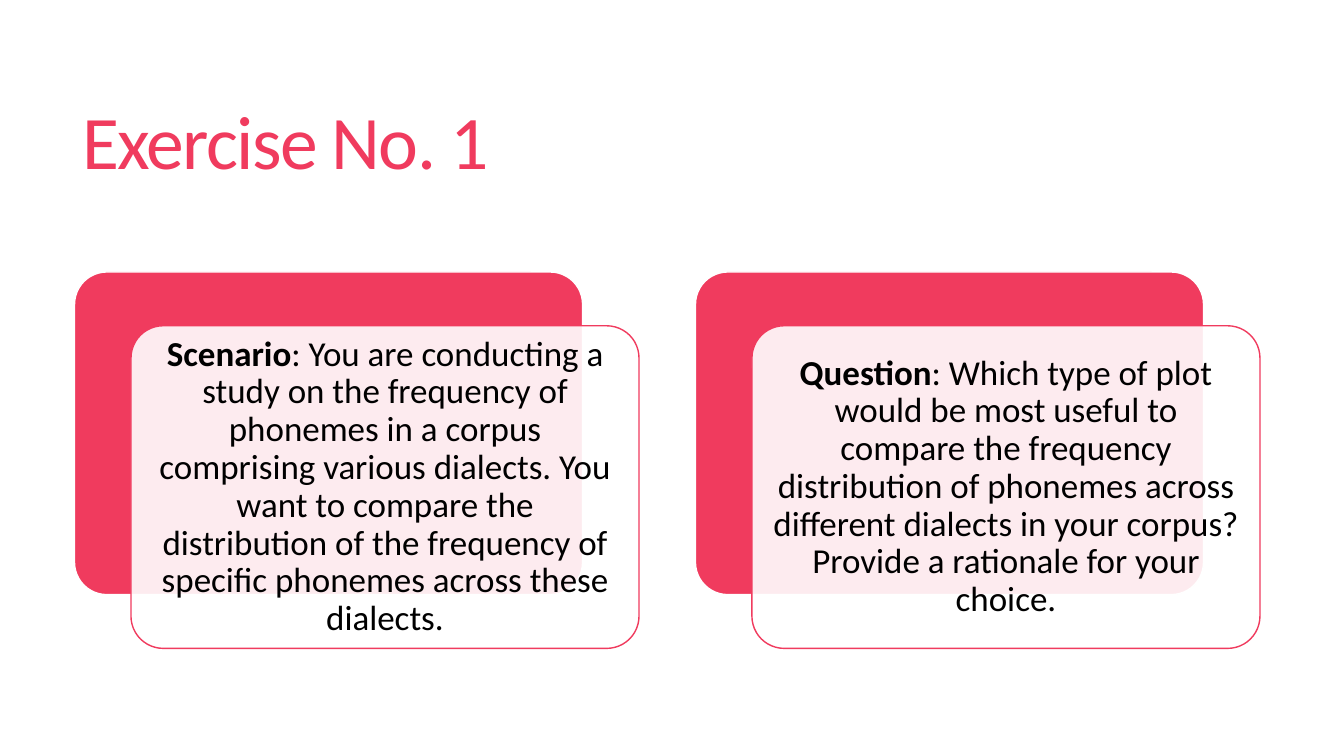
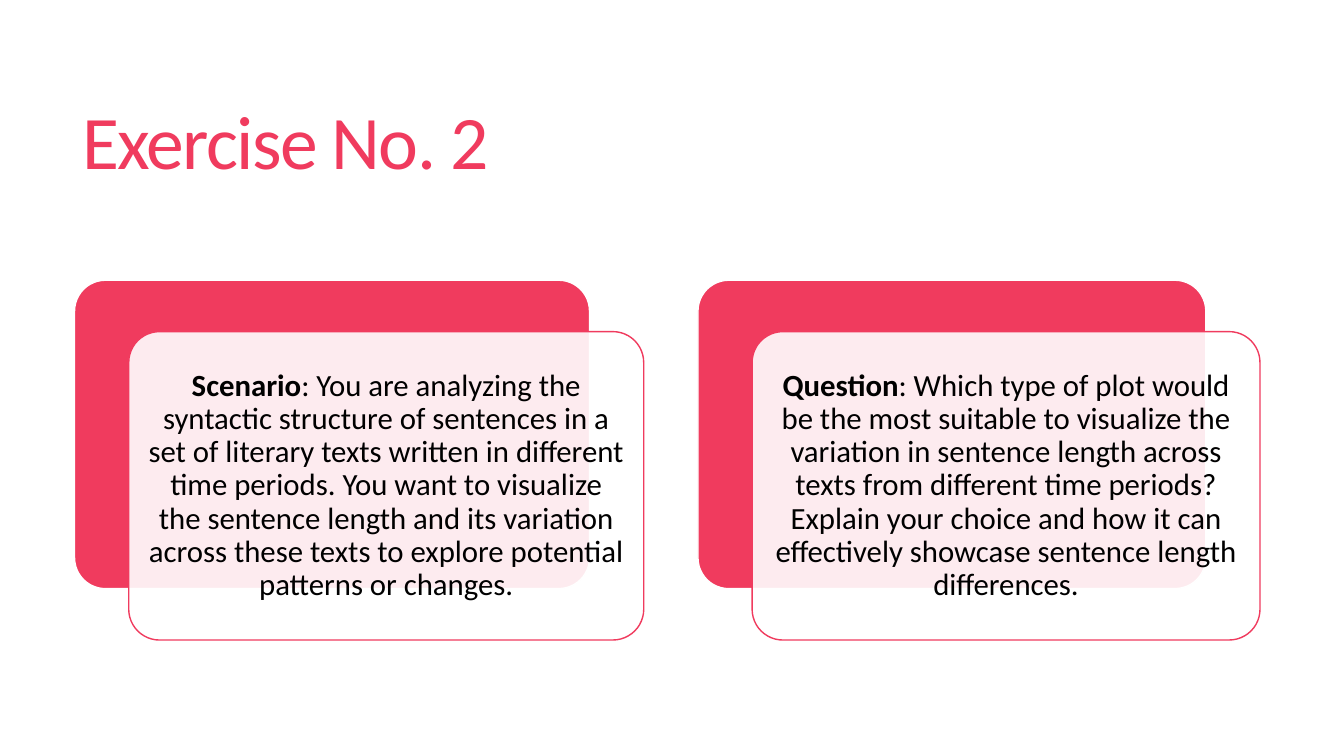
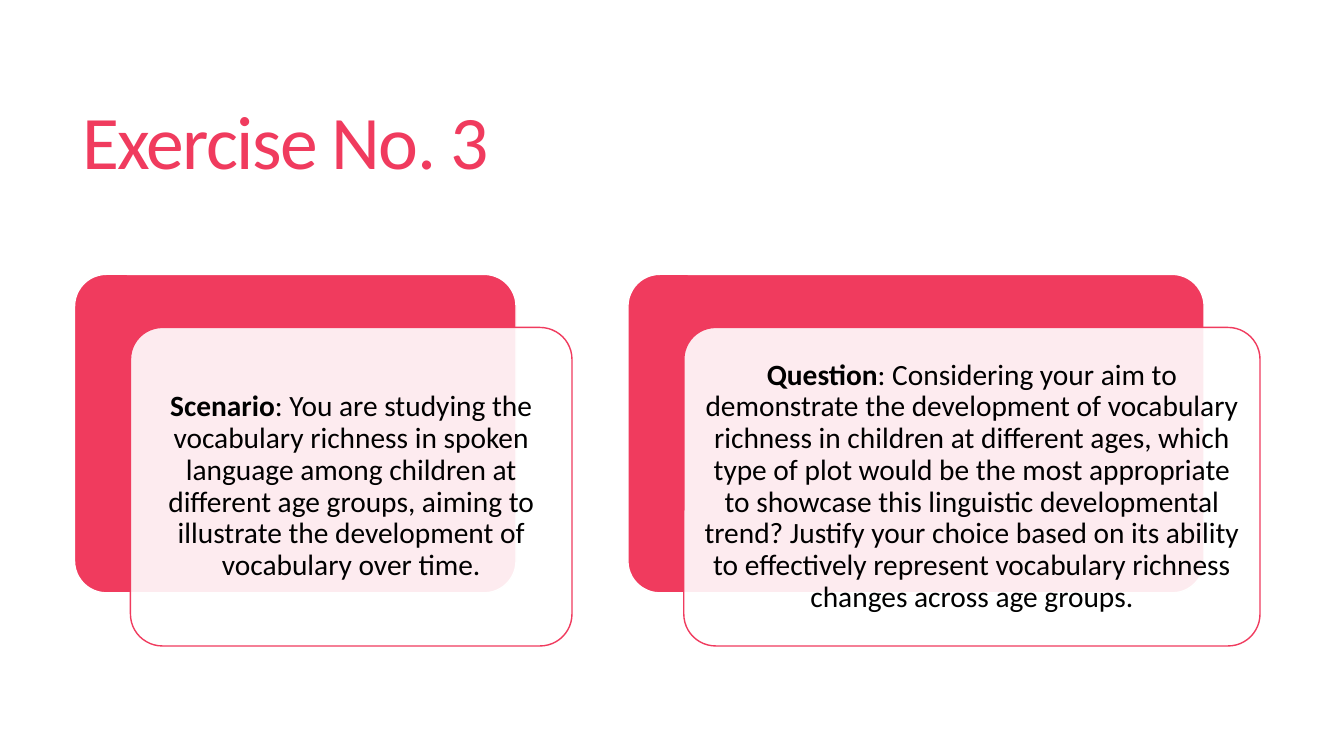
"""Build three exercise slides, each pairing a scenario card with a question card."""
from lxml.etree import SubElement
from pptx import Presentation
from pptx.dml.color import RGBColor
from pptx.enum.shapes import MSO_SHAPE
from pptx.enum.text import MSO_ANCHOR, MSO_AUTO_SIZE, PP_ALIGN
from pptx.oxml.ns import qn
from pptx.util import Inches, Pt

COLORS = {"accent": "F03B5E", "paper": "FFFFFF", "ink": "000000"}
FONT = "Calibri"

deck = Presentation()
deck.slide_width, deck.slide_height = Inches(13.33), Inches(7.5)
COLUMN, ROW = deck.slide_width / 100, deck.slide_height / 100
LEFT, RIGHT, MIDDLE = 5.55, 93.75, 60.87


def write(frame, text, lead="", size=54, color="accent", align=PP_ALIGN.LEFT,
          line_spacing=0.85, margin=0.1, tracking=0):
    """Fill a text frame with an optional bold lead followed by regular text."""
    frame.word_wrap = True
    frame.auto_size = MSO_AUTO_SIZE.NONE
    frame.vertical_anchor = MSO_ANCHOR.MIDDLE
    frame.margin_left = frame.margin_right = Inches(margin)
    frame.margin_top = frame.margin_bottom = Inches(margin)
    paragraph = frame.paragraphs[0]
    paragraph.alignment = align
    paragraph.line_spacing = line_spacing
    for words, bold in ((lead, True), (text, False)):
        if words:
            run = paragraph.add_run()
            run.text = words
            run.font.name, run.font.size, run.font.bold = FONT, Pt(size), bold
            run.font.color.rgb = RGBColor.from_string(COLORS[color])
            if tracking:
                run.font._element.set("spc", str(int(tracking * 100)))


def add_card(slide, left, top, width, height, fill, outline):
    """Add a rounded card placed in grid columns and rows."""
    card = slide.shapes.add_shape(
        MSO_SHAPE.ROUNDED_RECTANGLE, int(left * COLUMN), int(top * ROW),
        int(width * COLUMN), int(height * ROW))
    card.adjustments[0] = 0.1
    card.shadow.inherit = False
    card.fill.solid()
    card.fill.fore_color.rgb = RGBColor.from_string(COLORS[fill])
    card.line.color.rgb = RGBColor.from_string(COLORS[outline])
    card.line.width = Pt(1)
    return card


exercises = [
    {"size": 25, "margin": 0.1, "scenario_width": 37.8, "height": 42.67, "step": 4.2,
     "Scenario": "You are conducting a study on the frequency of phonemes in a corpus "
                 "comprising various dialects. You want to compare the distribution of the "
                 "frequency of specific phonemes across these dialects.",
     "Question": "Which type of plot would be most useful to compare the frequency "
                 "distribution of phonemes across different dialects in your corpus? "
                 "Provide a rationale for your choice."},
    {"size": 22, "margin": 0.09, "scenario_width": 38.32, "height": 40.8, "step": 4.03,
     "Scenario": "You are analyzing the syntactic structure of sentences in a set of "
                 "literary texts written in different time periods. You want to visualize "
                 "the sentence length and its variation across these texts to explore "
                 "potential patterns or changes.",
     "Question": "Which type of plot would be the most suitable to visualize the variation "
                 "in sentence length across texts from different time periods? Explain your "
                 "choice and how it can effectively showcase sentence length differences."},
    {"size": 21, "margin": 0.09, "scenario_width": 32.85, "height": 42.13, "step": 4.16,
     "Scenario": "You are studying the vocabulary richness in spoken language among "
                 "children at different age groups, aiming to illustrate the development of "
                 "vocabulary over time.",
     "Question": "Considering your aim to demonstrate the development of vocabulary "
                 "richness in children at different ages, which type of plot would be the "
                 "most appropriate to showcase this linguistic developmental trend? Justify "
                 "your choice based on its ability to effectively represent vocabulary "
                 "richness changes across age groups."},
]

title_only = deck.slide_layouts[5]
heading = title_only.placeholders[0]
heading.left, heading.top = int(5.4 * COLUMN), int(7.33 * ROW)
heading.width, heading.height = int(88.35 * COLUMN), int(24.13 * ROW)

for number, exercise in enumerate(exercises, start=1):
    slide = deck.slides.add_slide(title_only)
    write(slide.shapes.title.text_frame, f"Exercise No. {number}", tracking=-1.2)

    step, height = exercise["step"], exercise["height"]
    drop = height / 6
    top = MIDDLE - (height + drop) / 2
    scenario_width = exercise["scenario_width"]
    question_left = LEFT + scenario_width + 2 * step
    question_width = RIGHT - step - question_left

    for part, left, width in (("Scenario", LEFT, scenario_width),
                              ("Question", question_left, question_width)):
        add_card(slide, left, top, width, height, "accent", "paper")
        front = add_card(slide, left + step, top + drop, width, height, "paper", "accent")
        paper = front.element.xpath("./p:spPr/a:solidFill/a:srgbClr")[0]
        SubElement(paper, qn("a:alpha"), val="90000")
        write(front.text_frame, f": {exercise[part]}", lead=part, size=exercise["size"],
              color="ink", align=PP_ALIGN.CENTER, line_spacing=0.9,
              margin=exercise["margin"])

deck.save("out.pptx")
